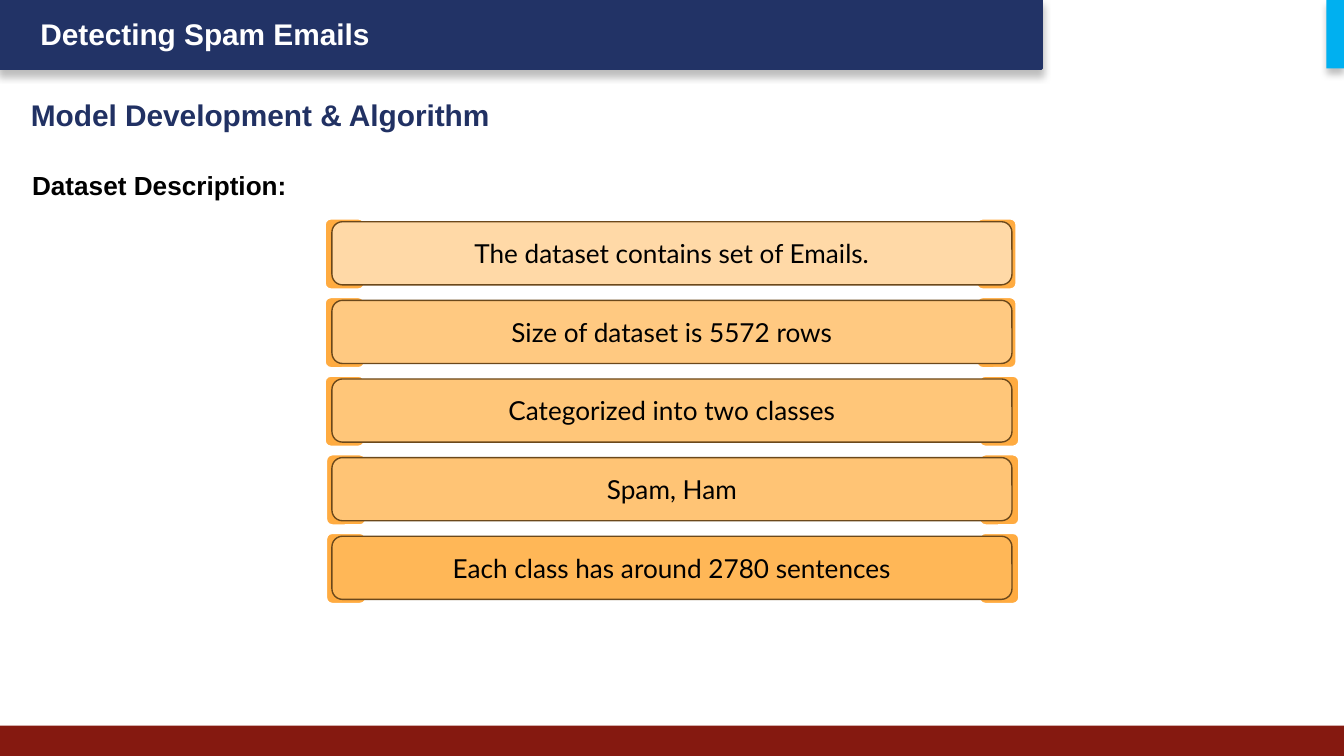
import pptx
import pptx.util
import pptx.dml.color
import pptx.enum.shapes
import pptx.enum.text
import pptx.oxml
import pptx.oxml.ns
from dataclasses import dataclass

Shape = pptx.enum.shapes.MSO_SHAPE
Align = pptx.enum.text.PP_ALIGN
Anchor = pptx.enum.text.MSO_ANCHOR
Pt = pptx.util.Pt

COLS, ROWS = 100, 56.25  # grid units across and down the slide


@dataclass(frozen=True)
class Theme:
    navy: str = "223366"
    title: str = "213163"
    red: str = "851910"
    cyan: str = "00B0F0"
    tab: str = "FFAB40"
    edge: str = "6B481B"
    white: str = "FFFFFF"
    black: str = "000000"
    head: int = 16
    body: int = 14
    sans: str = "Arial"
    card: str = "Lato"


def rgb(code):
    return pptx.dml.color.RGBColor.from_string(code)


class Deck:
    """Holds the theme and the slide being built."""

    def __init__(self, theme):
        self.theme = theme
        self.file = pptx.Presentation()
        self.file.slide_width = pptx.util.Inches(10)
        self.file.slide_height = pptx.util.Inches(5.625)
        self.slide = self.file.slides.add_slide(self.file.slide_layouts[5])

    def place(self, box):
        """Turn grid columns and rows into slide lengths."""
        wide, high = self.file.slide_width, self.file.slide_height
        x, y, w, h = box
        return (round(x / COLS * wide), round(y / ROWS * high),
                round(w / COLS * wide), round(h / ROWS * high))

    def block(self, box, fill, kind=Shape.RECTANGLE, line=None, width=1):
        shape = self.slide.shapes.add_shape(kind, *self.place(box))
        shape.shadow.inherit = False
        shape.fill.solid()
        shape.fill.fore_color.rgb = rgb(fill)
        if line:
            shape.line.color.rgb = rgb(line)
            shape.line.width = Pt(width)
        else:
            shape.line.fill.background()
        return shape

    def shade(self, shape):
        """Drop a soft shadow straight down."""
        effects = shape._element.spPr.find(pptx.oxml.ns.qn("a:effectLst"))
        effects.append(pptx.oxml.parse_xml(
            f'<a:outerShdw {pptx.oxml.ns.nsdecls("a")} blurRad="{Pt(4)}" '
            f'dist="{Pt(3)}" dir="5400000" algn="t" rotWithShape="0">'
            f'<a:srgbClr val="{self.theme.black}"><a:alpha val="25000"/>'
            '</a:srgbClr></a:outerShdw>'))

    def put(self, shape, text, size, font, color, bold=False,
            align=Align.LEFT, anchor=Anchor.TOP, pad=(0.1, 0.1)):
        """Set the text of a shape; pad is the side and top inset in inches."""
        frame = shape.text_frame
        frame.word_wrap = True
        frame.auto_size = pptx.enum.text.MSO_AUTO_SIZE.NONE
        frame.vertical_anchor = anchor
        side, top = map(pptx.util.Inches, pad)
        frame.margin_left = frame.margin_right = side
        frame.margin_top = frame.margin_bottom = top
        para = frame.paragraphs[0]
        para.alignment = align
        run = para.add_run()
        run.text = text
        run.font.size, run.font.name, run.font.bold = Pt(size), font, bold
        run.font.color.rgb = rgb(color)

    def title(self, box, text):
        shape = self.slide.shapes.title
        shape.left, shape.top, shape.width, shape.height = self.place(box)
        self.put(shape, text, self.theme.head, self.theme.sans,
                 self.theme.title, bold=True)

    def label(self, box, text, size, color, pad=(0.1, 0.1)):
        shape = self.slide.shapes.add_textbox(*self.place(box))
        self.put(shape, text, size, self.theme.sans, color, bold=True, pad=pad)

    def tab(self, x, y):
        self.block((x, y, 3.1, 5.4), self.theme.tab, Shape.ROUNDED_RECTANGLE,
                   self.theme.white, 2)

    def card(self, y, text, fill):
        shape = self.block((24.7, y, 50.6, 4.7), fill, Shape.ROUNDED_RECTANGLE,
                           self.theme.edge, 0.75)
        self.put(shape, text, self.theme.body, self.theme.card, self.theme.black,
                 align=Align.CENTER, anchor=Anchor.MIDDLE, pad=(0.1, 0.05))


# Text, fill, and the columns of the left and right tabs
FACTS = [
    ("The dataset contains set of Emails.", "FFD9A7", 24.1, 72.6),
    ("Size of dataset is 5572 rows", "FFC981", 24.1, 72.6),
    ("Categorized into two classes", "FFC679", 24.1, 72.8),
    ("Spam, Ham", "FFC475", 24.2, 72.8),
    ("Each class has around 2780 sentences", "FFB757", 24.2, 72.8),
]
FIRST, STEP = 16.5, 5.85


def main():
    theme = Theme()
    deck = Deck(theme)
    deck.shade(deck.block((0, 0, 77.5, 5.1), theme.navy, line=theme.navy, width=2))
    deck.block((0, 54, COLS, ROWS - 54), theme.red)
    deck.label((1.4, 0.7, 42.5, 3.7), "Detecting Spam Emails", theme.head,
               theme.white, pad=(0.16, 0.05))
    deck.shade(deck.block((98.7, 0, 1.3, 5.1), theme.cyan))

    deck.title((1.3, 6.2, 48.7, 4.7), "Model Development & Algorithm")
    deck.label((1.4, 11.6, 48, 5.5), "Dataset Description:", theme.body, theme.black)

    for i, (text, fill, left, right) in enumerate(FACTS):
        y = FIRST + i * STEP
        for x in (left, right):
            deck.tab(x, y - 0.3)
        deck.card(y, text, fill)

    deck.file.save("out.pptx")


if __name__ == "__main__":
    main()
